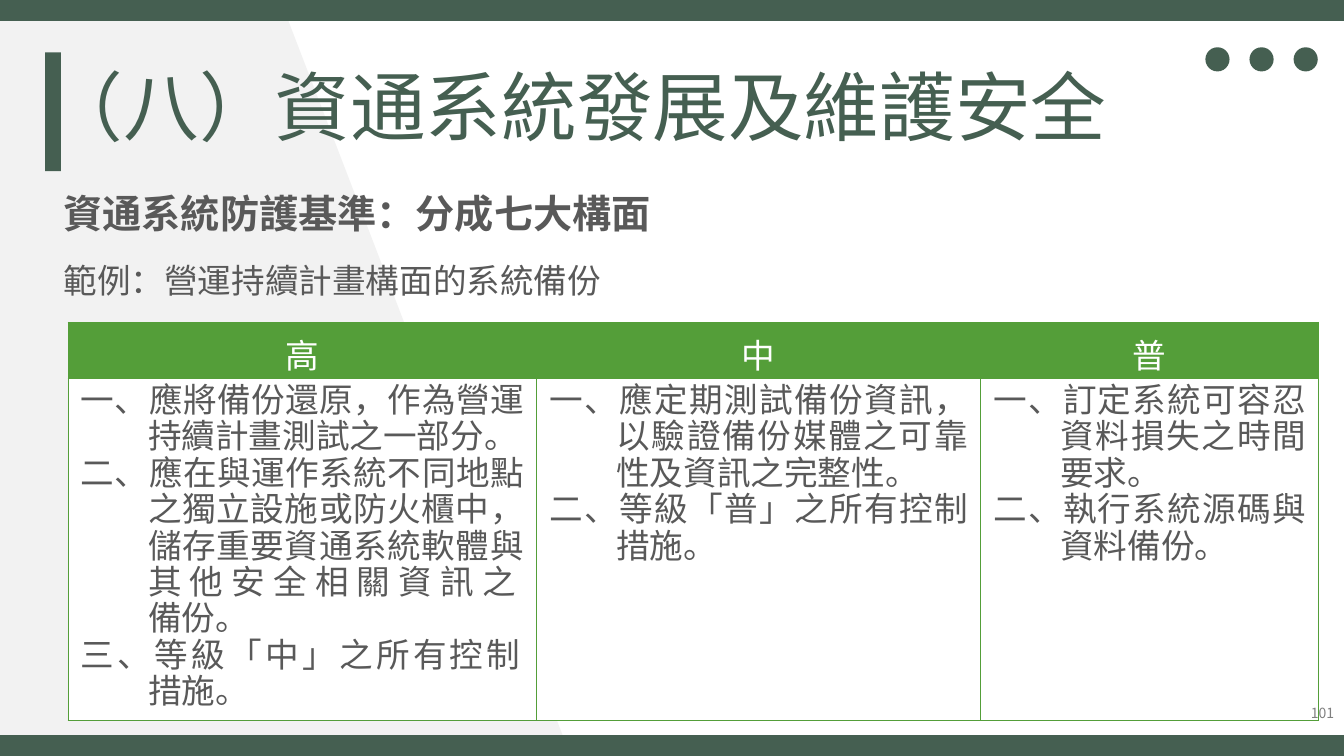
import dataclasses

import lxml.etree
import pptx
import pptx.dml.color
import pptx.enum.shapes
import pptx.enum.text
import pptx.oxml.ns
import pptx.util

PX = 9525
ALIGN = pptx.enum.text.PP_ALIGN
ANCHOR = pptx.enum.text.MSO_ANCHOR
SHAPE = pptx.enum.shapes.MSO_SHAPE


@dataclasses.dataclass(frozen=True)
class Theme:
    dark: str = "455F51"
    accent: str = "549E39"
    panel: str = "F2F2F2"
    white: str = "FFFFFF"
    text: str = "595959"
    number: str = "808080"
    font: str = "Noto Sans CJK JP"
    number_font: str = "Noto Sans CJK SC"
    title_size: int = 54
    heading_size: int = 28
    body_size: int = 24
    number_size: int = 10


THEME = Theme()

LEVELS = [
    ("高", 446, [
        "一、應將備份還原，作為營運持續計畫測試之一部分。",
        "二、應在與運作系統不同地點之獨立設施或防火櫃中，儲存重要資通系統軟體與其他安全相關資訊之\n備份。",
        "三、等級「中」之所有控制\n措施。",
    ]),
    ("中", 423, [
        "一、應定期測試備份資訊，以驗證備份媒體之可靠性及資訊之完整性。",
        "二、等級「普」之所有控制措施。",
    ]),
    ("普", 322, [
        "一、訂定系統可容忍資料損失之時間要求。",
        "二、執行系統源碼與資料備份。",
    ]),
]


def px(*lengths):
    return [pptx.util.Emu(length * PX) for length in lengths]


def color(value):
    return pptx.dml.color.RGBColor.from_string(value)


def paint(shape, fill):
    shape.shadow.inherit = False
    shape.fill.solid()
    shape.fill.fore_color.rgb = color(fill)
    shape.line.fill.background()


def add_block(slide, kind, box, fill):
    paint(slide.shapes.add_shape(kind, *px(*box)), fill)


def add_panel(slide, points, fill):
    builder = slide.shapes.build_freeform(*points[0], scale=PX)
    builder.add_line_segments(points[1:], close=True)
    paint(builder.convert_to_shape(), fill)


def format_paragraph(paragraph, size, ink, align, bold=False, font=THEME.font, spacing=None):
    paragraph.alignment = align
    if spacing:
        paragraph.line_spacing = spacing
    for run in paragraph.runs:
        run.font.name = font
        run.font.size = pptx.util.Pt(size)
        run.font.bold = bold
        run.font.color.rgb = color(ink)
        east_asian = lxml.etree.SubElement(run.font._element, pptx.oxml.ns.qn("a:ea"))
        east_asian.set("typeface", font)


def set_indent(paragraph, left, first):
    properties = paragraph._p.get_or_add_pPr()
    properties.set("marL", str(left * PX))
    properties.set("indent", str(first * PX))


def set_title(slide, text):
    title = slide.shapes.title
    title.element.getparent().append(title.element)
    title.left, title.top, title.width, title.height = px(36, 62, 1187, 139)
    frame = title.text_frame
    frame.text = text
    frame.word_wrap = True
    frame.auto_size = pptx.enum.text.MSO_AUTO_SIZE.NONE
    frame.vertical_anchor = ANCHOR.TOP
    format_paragraph(frame.paragraphs[0], THEME.title_size, THEME.dark, ALIGN.LEFT, spacing=0.9)


def add_text(slide, box, text, anchor=ANCHOR.TOP):
    frame = slide.shapes.add_textbox(*px(*box)).text_frame
    frame.word_wrap = True
    frame.vertical_anchor = anchor
    frame.text = text
    return frame


def add_introduction(slide, heading, example):
    frame = add_text(slide, (51, 172, 1141, 121), heading)
    spacing = pptx.util.Pt(36)
    format_paragraph(frame.paragraphs[0], THEME.heading_size, THEME.text, ALIGN.JUSTIFY,
                     bold=True, spacing=spacing)
    paragraph = frame.add_paragraph()
    paragraph.text = example
    paragraph.level = 1
    set_indent(paragraph, 0, 0)
    paragraph.space_before = pptx.util.Pt(10)
    format_paragraph(paragraph, THEME.body_size, THEME.text, ALIGN.JUSTIFY, spacing=spacing)


def add_page_number(slide, number):
    frame = add_text(slide, (1083, 666, 197, 26), number, ANCHOR.MIDDLE)
    format_paragraph(frame.paragraphs[0], THEME.number_size, THEME.number, ALIGN.RIGHT,
                     font=THEME.number_font)


def style_cell(cell, fill, bottom_margin):
    cell.margin_left, cell.margin_right, cell.margin_top, cell.margin_bottom = px(
        12, 12, 7, bottom_margin)
    properties = cell._tc.get_or_add_tcPr()
    for side in ("a:lnL", "a:lnR", "a:lnT", "a:lnB"):
        line = lxml.etree.SubElement(properties, pptx.oxml.ns.qn(side), w="12700")
        solid = lxml.etree.SubElement(line, pptx.oxml.ns.qn("a:solidFill"))
        lxml.etree.SubElement(solid, pptx.oxml.ns.qn("a:srgbClr"), val=THEME.accent)
    cell.fill.solid()
    cell.fill.fore_color.rgb = color(fill)


def add_level_table(slide, left, top, row_heights):
    width = sum(level[1] for level in LEVELS)
    box = px(left, top, width, sum(row_heights))
    table = slide.shapes.add_table(2, len(LEVELS), *box).table
    table.first_row = False
    table.horz_banding = False
    for row, height in zip(table.rows, px(*row_heights)):
        row.height = height
    for index, (name, column_width, measures) in enumerate(LEVELS):
        table.columns[index].width = px(column_width)[0]
        header, body = table.cell(0, index), table.cell(1, index)
        style_cell(header, THEME.accent, 0)
        style_cell(body, THEME.white, 7)
        header.text_frame.text = name
        format_paragraph(header.text_frame.paragraphs[0], THEME.body_size, THEME.white, ALIGN.CENTER)
        for position, measure in enumerate(measures):
            frame = body.text_frame
            paragraph = frame.add_paragraph() if position else frame.paragraphs[0]
            paragraph.text = measure
            set_indent(paragraph, 64, -64)
            format_paragraph(paragraph, THEME.body_size, THEME.text, ALIGN.JUSTIFY,
                             spacing=pptx.util.Pt(26))


def add_backdrop(slide):
    add_panel(slide, [(0, -2), (0, 717), (543, 719), (267, 0)], THEME.panel)
    add_block(slide, SHAPE.RECTANGLE, (43, 50, 15, 113), THEME.dark)
    for top in (0, 700):
        add_block(slide, SHAPE.RECTANGLE, (0, top, 1280, 20), THEME.dark)
    for index in range(3):
        add_block(slide, SHAPE.OVAL, (1148 + 42 * index, 45, 23, 23), THEME.dark)


def main():
    presentation = pptx.Presentation()
    presentation.slide_width, presentation.slide_height = px(1280, 720)
    slide = presentation.slides.add_slide(presentation.slide_layouts[5])
    add_backdrop(slide)
    add_level_table(slide, 65, 307, (53, 325))
    set_title(slide, "（八）資通系統發展及維護安全")
    add_introduction(slide, "資通系統防護基準：分成七大構面", "範例：營運持續計畫構面的系統備份")
    add_page_number(slide, "101")
    presentation.save("out.pptx")


if __name__ == "__main__":
    main()
